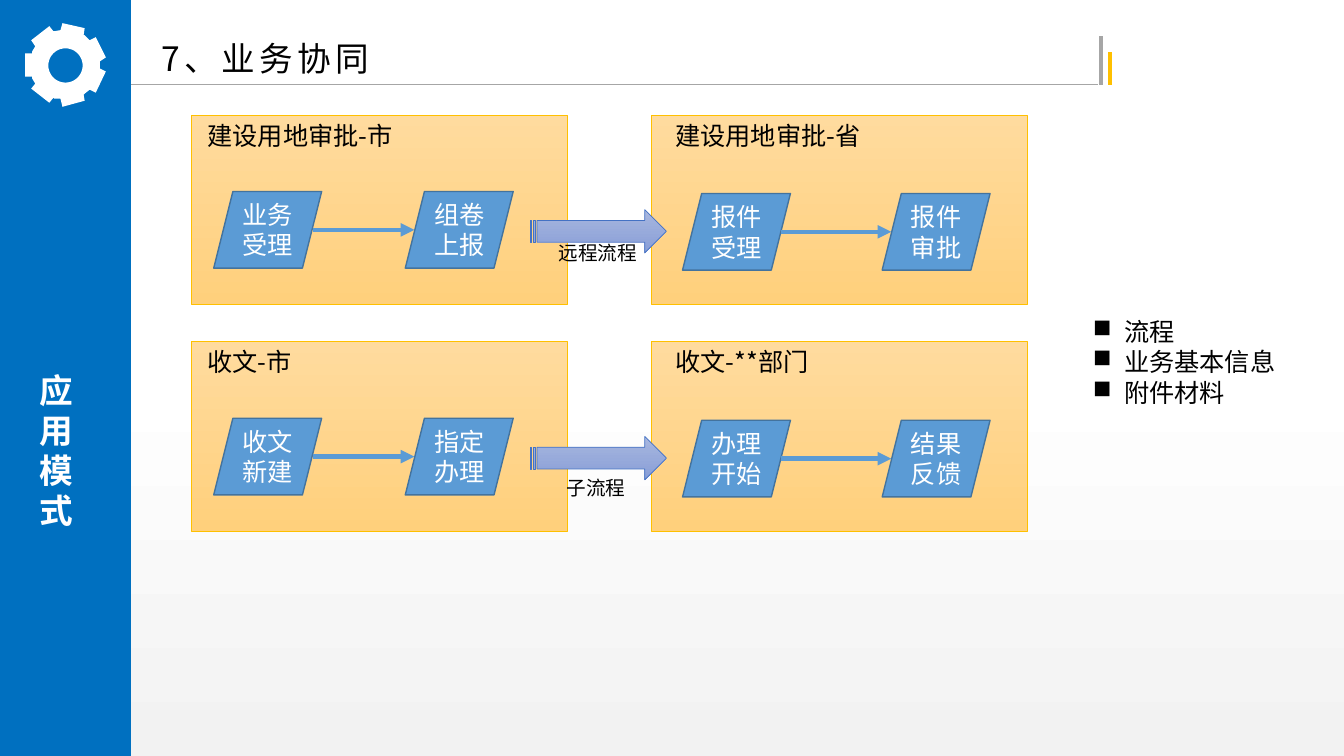
from dataclasses import dataclass
from math import cos, pi, sin

from lxml.etree import SubElement
from pptx import Presentation
from pptx.dml.color import RGBColor
from pptx.enum.dml import MSO_LINE
from pptx.enum.shapes import MSO_CONNECTOR, MSO_SHAPE
from pptx.enum.text import MSO_ANCHOR, MSO_AUTO_SIZE, PP_ALIGN
from pptx.oxml.ns import qn
from pptx.util import Inches, Pt


@dataclass(frozen=True)
class Theme:
    font: str = "Noto Sans CJK SC"
    heading: int = 24
    body: int = 18
    caption: int = 14
    black: str = "000000"
    white: str = "FFFFFF"
    page_end: str = "F2F2F2"
    sidebar: str = "0070C0"
    rule: str = "A6A6A6"
    gold: str = "FFC000"
    panel: tuple = ("FFDB9E", "FFD07C")
    step: str = "5B9BD5"
    step_edge: str = "43739E"
    transfer: tuple = ("A8B7DF", "889ED7")
    transfer_edge: str = "4472C4"


THEME = Theme()
PANEL_SIZE = (3.73, 1.88)
STEP_SIZE = (1.07, 0.76)
HANGING = 0.31

GEAR_RIM = [
    (0.62, 0.23), (0.84, 0.28), (0.83, 0.35), (0.84, 0.35), (0.89, 0.4), (0.95, 0.37),
    (1.05, 0.57), (0.99, 0.61), (0.99, 0.64), (0.99, 0.68), (1.05, 0.71), (0.95, 0.92),
    (0.89, 0.89), (0.84, 0.93), (0.83, 0.94), (0.84, 1), (0.62, 1.06), (0.6, 0.98),
    (0.54, 0.98), (0.53, 0.97), (0.49, 1.02), (0.31, 0.88), (0.35, 0.83), (0.32, 0.78),
    (0.32, 0.76), (0.25, 0.76), (0.25, 0.53), (0.32, 0.53), (0.32, 0.51), (0.35, 0.46),
    (0.31, 0.4), (0.49, 0.26), (0.53, 0.31), (0.54, 0.31), (0.6, 0.3),
]

# top, caption (text, left, offset, width), then left and right panel: heading and steps
FLOWS = [
    (1.14, ("远程流程", 5.44, 1.2, 0.99),
     ("建设用地审批-市", ["业务受理", "组卷上报"]),
     ("建设用地审批-省", ["报件受理", "报件审批"])),
    (3.39, ("子流程", 5.52, 1.28, 0.79),
     ("收文-市", ["收文新建", "指定办理"]),
     ("收文-**部门", ["办理开始", "结果反馈"])),
]


def rgb(value):
    return RGBColor.from_string(value)


def paint(fill, color):
    """Fill with one colour, or with a downward gradient for a pair of colours."""
    if isinstance(color, str):
        fill.solid()
        fill.fore_color.rgb = rgb(color)
        return
    fill.gradient()
    fill.gradient_angle = 270
    for stop, value in zip(fill.gradient_stops, color):
        stop.color.rgb = rgb(value)


def style(shape, color, edge=None, width=0.5):
    shape.shadow.inherit = False
    paint(shape.fill, color)
    if edge is None:
        shape.line.fill.background()
    else:
        shape.line.color.rgb = rgb(edge)
        shape.line.width = Pt(width)


def add_preset(page, kind, box, color, edge=None, width=0.5):
    shape = page.shapes.add_shape(kind, *map(Inches, box))
    style(shape, color, edge, width)
    return shape


def add_span(para, text, size, color=THEME.black, bold=False):
    span = para.add_run()
    span.text = text
    span.font.size = Pt(size)
    span.font.bold = bold
    span.font.name = THEME.font
    span.font.color.rgb = rgb(color)
    SubElement(span.font._element, qn("a:ea"), typeface=THEME.font)
    return span


def add_text_box(page, box, wrap=True, grow=True):
    frame = page.shapes.add_textbox(*map(Inches, box)).text_frame
    frame.word_wrap = wrap
    frame.auto_size = MSO_AUTO_SIZE.SHAPE_TO_FIT_TEXT if grow else MSO_AUTO_SIZE.NONE
    return frame


def hang(para):
    properties = para._p.get_or_add_pPr()
    properties.set("marL", str(Inches(HANGING)))
    properties.set("indent", str(-Inches(HANGING)))
    return properties


def add_line(page, start, end, color, width, arrow=False):
    line = page.shapes.add_connector(MSO_CONNECTOR.STRAIGHT, *map(Inches, start + end))
    line.line.color.rgb = rgb(color)
    line.line.width = Pt(width)
    line.line.dash_style = MSO_LINE.SOLID
    if arrow:
        SubElement(line.line._get_or_add_ln(), qn("a:tailEnd"), type="triangle")
    SubElement(line._element.spPr, qn("a:effectLst"))


def add_gear(page, left, top):
    """Draw the toothed rim and its round hole as two contours of one shape."""
    center, radius, sides = 0.65, 0.17, 48
    hole = [(center + radius * cos(2 * pi * i / sides),
             center + radius * sin(2 * pi * i / sides)) for i in range(sides)]
    rim, hole = ([(Inches(left + x), Inches(top + y)) for x, y in outline]
                 for outline in (GEAR_RIM, hole))
    builder = page.shapes.build_freeform(*rim[0])
    builder.add_line_segments(rim[1:])
    builder.move_to(*hole[0])
    builder.add_line_segments(hole[1:])
    style(builder.convert_to_shape(), THEME.white)


def add_sidebar(page, box):
    left, top, width, height = box
    add_preset(page, MSO_SHAPE.RECTANGLE, box, THEME.sidebar)
    frame = add_text_box(page, (left + 0.29, top + 1.43, 0.72, height - 1.43), grow=False)
    frame.vertical_anchor = MSO_ANCHOR.MIDDLE
    frame._txBody.bodyPr.set("vert", "wordArtVertRtl")
    add_span(frame.paragraphs[0], "应用模式", THEME.heading, THEME.white, bold=True)
    add_gear(page, left, top)


def add_header(page, box):
    left, top, width, height = box
    base = top + 0.56
    add_line(page, (0, base), (left + 9.39, base), THEME.rule, 0.5)
    add_line(page, (left + 9.42, base), (left + 9.42, top + 0.08), THEME.rule, 3)
    add_line(page, (left + 9.51, base), (left + 9.51, top + 0.24), THEME.gold, 3)
    frame = add_text_box(page, box, grow=False)
    frame.vertical_anchor = MSO_ANCHOR.BOTTOM
    para = frame.paragraphs[0]
    para.line_spacing = 0.9
    span = add_span(para, "7、业务协同", THEME.heading)
    span.font._element.set("spc", "300")


def add_panel(page, box, heading, steps, heading_inset, step_inset, pitch, drop):
    left, top, width, height = box
    add_preset(page, MSO_SHAPE.RECTANGLE, box, THEME.panel, THEME.gold)
    frame = add_text_box(page, (left + heading_inset, top, 2.14, 0.4))
    hang(frame.paragraphs[0])
    add_span(frame.paragraphs[0], heading, THEME.body)

    first = left + step_inset
    for index, step in enumerate(steps):
        shape = add_preset(page, MSO_SHAPE.PARALLELOGRAM,
                           (first + index * pitch, top + drop, *STEP_SIZE),
                           THEME.step, THEME.step_edge, 1)
        shape.text_frame.vertical_anchor = MSO_ANCHOR.MIDDLE
        para = shape.text_frame.paragraphs[0]
        para.alignment = PP_ALIGN.CENTER
        add_span(para, step, THEME.body, THEME.white)
    middle = top + drop + STEP_SIZE[1] / 2
    add_line(page, (first + 0.98, middle), (first + pitch + 0.09, middle),
             THEME.step, 3.25, arrow=True)


def add_flow(page, top, caption, sender, receiver):
    add_panel(page, (6.46, top, *PANEL_SIZE), *receiver, 0.14, 0.31, 1.98, 0.78)
    add_panel(page, (1.9, top, *PANEL_SIZE), *sender, 0.06, 0.22, 1.9, 0.76)
    add_preset(page, MSO_SHAPE.STRIPED_RIGHT_ARROW, (5.26, top + 0.94, 1.35, 0.43),
               THEME.transfer, THEME.transfer_edge)
    text, left, offset, width = caption
    frame = add_text_box(page, (left, top + offset, width, 0.34), wrap=False)
    add_span(frame.paragraphs[0], text, THEME.caption)


def add_contents(page, box):
    frame = add_text_box(page, box)
    for index, item in enumerate(["流程", "业务基本信息", "附件材料"]):
        para = frame.add_paragraph() if index else frame.paragraphs[0]
        SubElement(hang(para), qn("a:buChar"), char="■")
        add_span(para, item, THEME.body)


def main():
    deck = Presentation()
    deck.slide_width, deck.slide_height = Inches(13.33), Inches(7.5)
    page = deck.slides.add_slide(deck.slide_layouts[6])
    paint(page.background.fill, (THEME.white, THEME.page_end))
    page.background.fill.gradient_stops[0].position = 0.5
    add_header(page, (1.5, 0.28, 6.82, 0.55))
    add_sidebar(page, (0, 0, 1.3, 7.5))
    for flow in FLOWS:
        add_flow(page, *flow)
    add_contents(page, (10.74, 3.09, 2.29, 1.01))
    deck.save("out.pptx")


if __name__ == "__main__":
    main()
